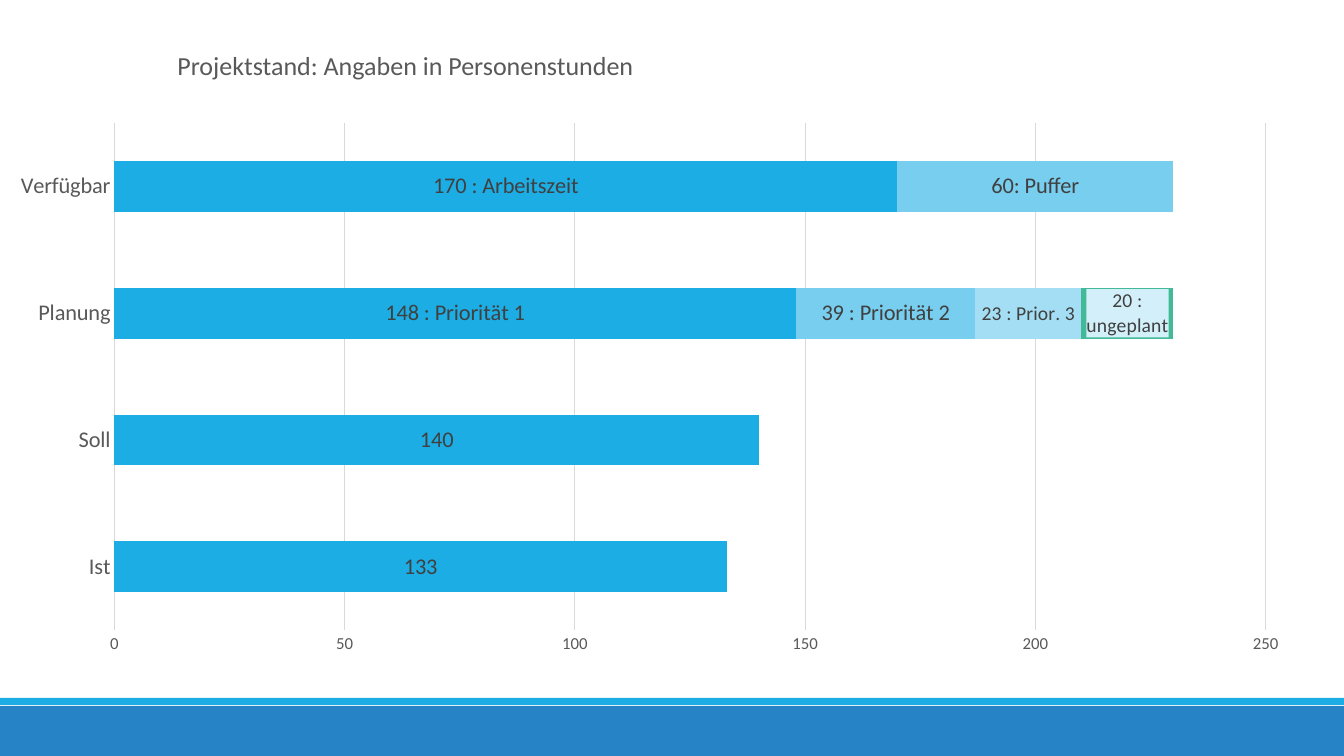
from dataclasses import dataclass

import pptx
import pptx.chart.data
import pptx.dml.color
import pptx.enum.chart
import pptx.enum.shapes
import pptx.enum.text
import pptx.oxml
import pptx.oxml.ns
import pptx.util

PX = 914400 / 100.8
NS = pptx.oxml.ns.nsdecls("c", "a")


@dataclass(frozen=True)
class Theme:
    font: str = "Calibri"
    band: str = "2683C6"
    accent: str = "1CADE4"
    second: str = "77CEEF"
    third: str = "A4DEF4"
    unplanned: str = "42BA97"
    label_box: str = "D2EFFA"
    grid: str = "D9D9D9"
    text: str = "595959"
    label: str = "404040"
    title_size: float = 18.6
    label_size: int = 16
    small_size: int = 14
    axis_size: int = 12


@dataclass(frozen=True)
class Series:
    name: str
    values: tuple
    color: str
    size: int
    labels: dict
    label_fill: str = ""


THEME = Theme()
CATEGORIES = ("Ist", "Soll", "Planung", "Verfügbar")
PLANNED, AVAILABLE = 2, 3
SERIES = (
    Series("Series 1", (133, 140, 148, 170), THEME.accent, THEME.label_size,
           {PLANNED: "148 : Priorität 1", AVAILABLE: "170 : Arbeitszeit"}),
    Series("Series 2", (None, None, 39, 60), THEME.second, THEME.label_size,
           {PLANNED: "39 : Priorität 2", AVAILABLE: "60: Puffer"}),
    Series("Series 3", (None, None, 23, None), THEME.third, THEME.small_size,
           {PLANNED: "23 : Prior. 3"}),
    Series("Series 4", (None, None, 20, None), THEME.unplanned, THEME.small_size,
           {PLANNED: "20 :\nungeplant"}, THEME.label_box),
)


def rgb(color):
    return pptx.dml.color.RGBColor.from_string(color)


def px(*lengths):
    return [pptx.util.Emu(round(n * PX)) for n in lengths]


def set_font(font, size, color):
    font.name = THEME.font
    font.size = pptx.util.Pt(size)
    font.bold = False
    font.color.rgb = rgb(color)


def put_text(tf, text, size, color, align=None):
    """Fill a text frame, one paragraph for each line of text."""
    tf.text = text
    for p in tf.paragraphs:
        p.alignment = align
        for r in p.runs:
            set_font(r.font, size, color)


class SlideBuilder:
    def __init__(self, prs, theme):
        self.theme = theme
        self.s = prs.slides.add_slide(prs.slide_layouts[6])

    def bar(self, x, y, w, h, color):
        sp = self.s.shapes.add_shape(
            pptx.enum.shapes.MSO_SHAPE.RECTANGLE, *px(x, y, w, h))
        sp.shadow.inherit = False
        sp.fill.solid()
        sp.fill.fore_color.rgb = rgb(color)
        sp.line.fill.background()

    def text(self, x, y, w, h, text, **fmt):
        tf = self.s.shapes.add_textbox(*px(x, y, w, h)).text_frame
        tf.word_wrap = True
        put_text(tf, text, **fmt)

    def chart(self, x, y, w, h, categories, series, plot_box):
        data = pptx.chart.data.CategoryChartData()
        data.categories = categories
        for item in series:
            data.add_series(item.name, item.values)
        chart = self.s.shapes.add_chart(
            pptx.enum.chart.XL_CHART_TYPE.BAR_STACKED, *px(x, y, w, h), data).chart
        chart.has_legend = chart.has_title = False
        set_font(chart.font, self.theme.axis_size, self.theme.text)
        plot = chart.plots[0]
        plot.gap_width, plot.overlap = 150, 100
        plot.vary_by_categories = False
        self.place_plot(chart, plot_box)
        self.style_axes(chart)
        for ser, item in zip(plot.series, series):
            self.style_series(ser, item)

    def place_plot(self, chart, box):
        area = chart.element.find(".//" + pptx.oxml.ns.qn("c:plotArea"))
        for old in area.findall(pptx.oxml.ns.qn("c:layout")):
            area.remove(old)
        sides = "".join(f'<c:{k} val="{v}"/>' for k, v in zip("xywh", box))
        area.insert(0, pptx.oxml.parse_xml(
            f'<c:layout {NS}><c:manualLayout><c:layoutTarget val="inner"/>'
            f'<c:xMode val="edge"/><c:yMode val="edge"/>{sides}'
            '</c:manualLayout></c:layout>'))

    def style_axes(self, chart):
        theme = self.theme
        cat, val = chart.category_axis, chart.value_axis
        for axis, size in ((cat, theme.label_size), (val, theme.axis_size)):
            axis.major_tick_mark = pptx.enum.chart.XL_TICK_MARK.NONE
            axis.minor_tick_mark = pptx.enum.chart.XL_TICK_MARK.NONE
            set_font(axis.tick_labels.font, size, theme.text)
        val.minimum_scale, val.maximum_scale, val.major_unit = 0, 250, 50
        val.has_major_gridlines = True
        val.format.line.fill.background()
        for line in (cat.format.line, val.major_gridlines.format.line):
            line.color.rgb = rgb(theme.grid)
            line.width = pptx.util.Pt(0.75)

    def style_series(self, ser, item):
        ser.format.fill.solid()
        ser.format.fill.fore_color.rgb = rgb(item.color)
        center = pptx.enum.chart.XL_LABEL_POSITION.CENTER
        labels = ser.data_labels
        labels.show_value = True
        labels.position = center
        set_font(labels.font, item.size, self.theme.label)
        for i, text in item.labels.items():
            label = ser.points[i].data_label
            put_text(label.text_frame, text, item.size, self.theme.label)
            label.position = center
        if item.label_fill:
            for tx in labels._element.iter(pptx.oxml.ns.qn("c:tx")):
                tx.addnext(pptx.oxml.parse_xml(
                    f'<c:spPr {NS}><a:solidFill><a:srgbClr val="{item.label_fill}"/>'
                    '</a:solidFill></c:spPr>'))


def main():
    prs = pptx.Presentation()
    prs.slide_width, prs.slide_height = px(1344, 756)
    slide = SlideBuilder(prs, THEME)
    slide.bar(0, 706, 1344, 50, THEME.band)
    slide.bar(0, 698, 1344, 7, THEME.accent)
    slide.chart(15, 87, 1292, 634, CATEGORIES, SERIES, (0.077, 0.057, 0.891, 0.8))
    slide.text(149, 45, 513, 41, "Projektstand: Angaben in Personenstunden",
               size=THEME.title_size, color=THEME.text,
               align=pptx.enum.text.PP_ALIGN.CENTER)
    prs.save("out.pptx")


if __name__ == "__main__":
    main()
